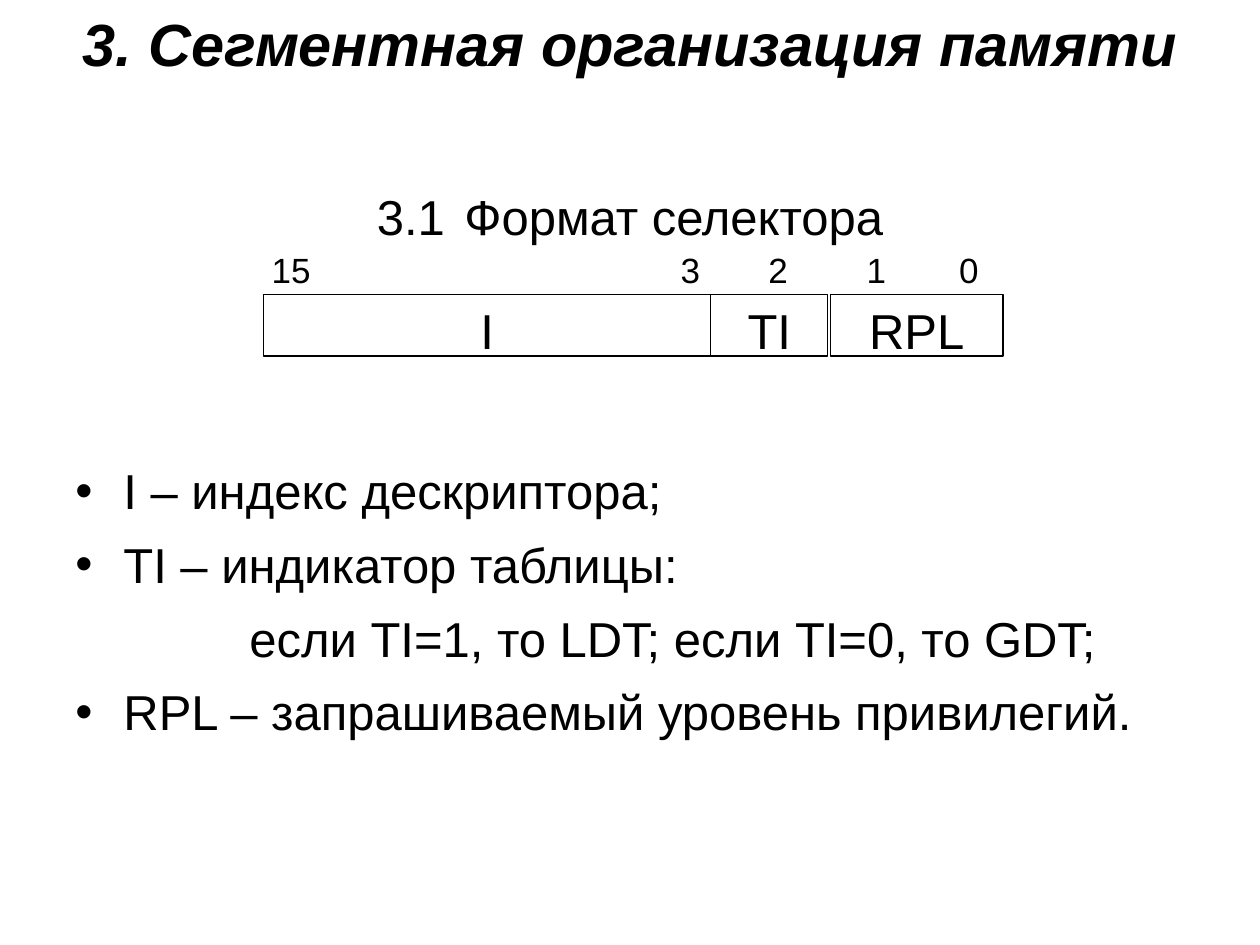
from dataclasses import dataclass

from lxml.etree import SubElement
from pptx import Presentation
from pptx.dml.color import RGBColor
from pptx.enum.shapes import MSO_SHAPE as Preset
from pptx.enum.text import MSO_ANCHOR as Anchor, PP_ALIGN as Align
from pptx.oxml.ns import qn
from pptx.shapes.shapetree import GroupShapes
from pptx.slide import Slide
from pptx.util import Cm, Pt

COLORS = {"ink": "000000", "paper": "FFFFFF"}
FONT = "Arial"
FIELD_TOP, FIELD_HEIGHT = 5.94, 1.24
BIT_TOP, BIT_HEIGHT = 4.88, 1.17
HANG = 0.97  # bullet indent, cm


@dataclass(frozen=True)
class Cell:
    """A labelled part of the selector; left and width in cm."""
    label: str
    left: float
    width: float


@dataclass(frozen=True)
class Note:
    text: str
    bullet: bool = True


FIELDS = [Cell("I", 5.31, 9.02), Cell("TI", 14.33, 2.36), Cell("RPL", 16.74, 3.48)]
BITS = [
    Cell("15", 4.65, 2.44),
    Cell("3", 12.98, 1.88),
    Cell("2", 14.76, 1.85),
    Cell("1", 16.23, 2.87),
    Cell("0", 18.54, 1.98),
]
NOTES = [
    Note("I – индекс дескриптора;"),
    Note("TI – индикатор таблицы:"),
    Note("если TI=1, то LDT; если TI=0, то GDT;", bullet=False),
    Note("RPL – запрашиваемый уровень привилегий."),
]


def color(name: str) -> RGBColor:
    return RGBColor.from_string(COLORS[name])


def add_run(paragraph, text: str, size: float, emphasis: bool = False) -> None:
    run = paragraph.add_run()
    run.text = text
    font = run.font
    font.name, font.size = FONT, Pt(size)
    font.bold = font.italic = emphasis
    font.color.rgb = color("ink")


def add_label(frame, text: str, size: float) -> None:
    frame.word_wrap = True
    frame.vertical_anchor = Anchor.TOP
    paragraph = frame.paragraphs[0]
    paragraph.alignment = Align.CENTER
    add_run(paragraph, text, size)


def draw_title(slide: Slide) -> None:
    title = slide.shapes.title
    title.left, title.top, title.width, title.height = Cm(1.27), Cm(1.7), Cm(22.86), Cm(1.47)
    frame = title.text_frame
    frame.vertical_anchor = Anchor.MIDDLE
    frame.margin_top = Cm(0.43)
    heading, subheading = frame.paragraphs[0], frame.add_paragraph()
    heading.alignment = subheading.alignment = Align.CENTER
    heading.line_spacing = subheading.line_spacing = 1.0
    heading.space_before, subheading.space_before = Pt(0), Pt(50)
    add_run(heading, "3. Сегментная организация памяти", 34, emphasis=True)
    for text, size in (("3.1", 28), (" ", 40), ("Формат селектора", 28)):
        add_run(subheading, text, size)


def draw_field(shapes: GroupShapes, field: Cell) -> None:
    box = shapes.add_shape(Preset.RECTANGLE, Cm(field.left), Cm(FIELD_TOP),
                           Cm(field.width), Cm(FIELD_HEIGHT))
    box.shadow.inherit = False
    box.fill.solid()
    box.fill.fore_color.rgb = color("paper")
    box.line.color.rgb = color("ink")
    box.line.width = Pt(0.75)
    add_label(box.text_frame, field.label, 28)


def draw_bit(shapes: GroupShapes, bit: Cell) -> None:
    number = shapes.add_textbox(Cm(bit.left), Cm(BIT_TOP), Cm(bit.width), Cm(BIT_HEIGHT))
    add_label(number.text_frame, bit.label, 20)


def draw_notes(slide: Slide, notes: list[Note]) -> None:
    frame = slide.shapes.add_textbox(Cm(1.27), Cm(9.09), Cm(22.86), Cm(6.78)).text_frame
    frame.word_wrap = True
    frame.margin_top = Cm(0.2)
    for index, note in enumerate(notes):
        paragraph = frame.add_paragraph() if index else frame.paragraphs[0]
        paragraph.space_before = Pt(8.5 if index else 0)
        properties = paragraph._p.get_or_add_pPr()
        if note.bullet:
            properties.set("marL", str(Cm(HANG)))
            properties.set("indent", str(-Cm(HANG)))
            SubElement(properties, qn("a:buFont"), typeface=FONT)
            SubElement(properties, qn("a:buChar"), char="•")
        else:
            properties.set("marL", str(Cm(HANG + 2.54)))
        add_run(paragraph, note.text, 28)


def main() -> None:
    deck = Presentation()
    deck.slide_width, deck.slide_height = Cm(25.4), Cm(19.05)
    slide = deck.slides.add_slide(deck.slide_layouts[5])

    # Heading and subheading
    draw_title(slide)

    # Explanation of the fields
    draw_notes(slide, NOTES)

    # Selector layout with bit numbers
    selector = slide.shapes.add_group_shape().shapes
    for field in FIELDS:
        draw_field(selector, field)
    for bit in BITS:
        draw_bit(selector, bit)

    deck.save("out.pptx")


if __name__ == "__main__":
    main()
